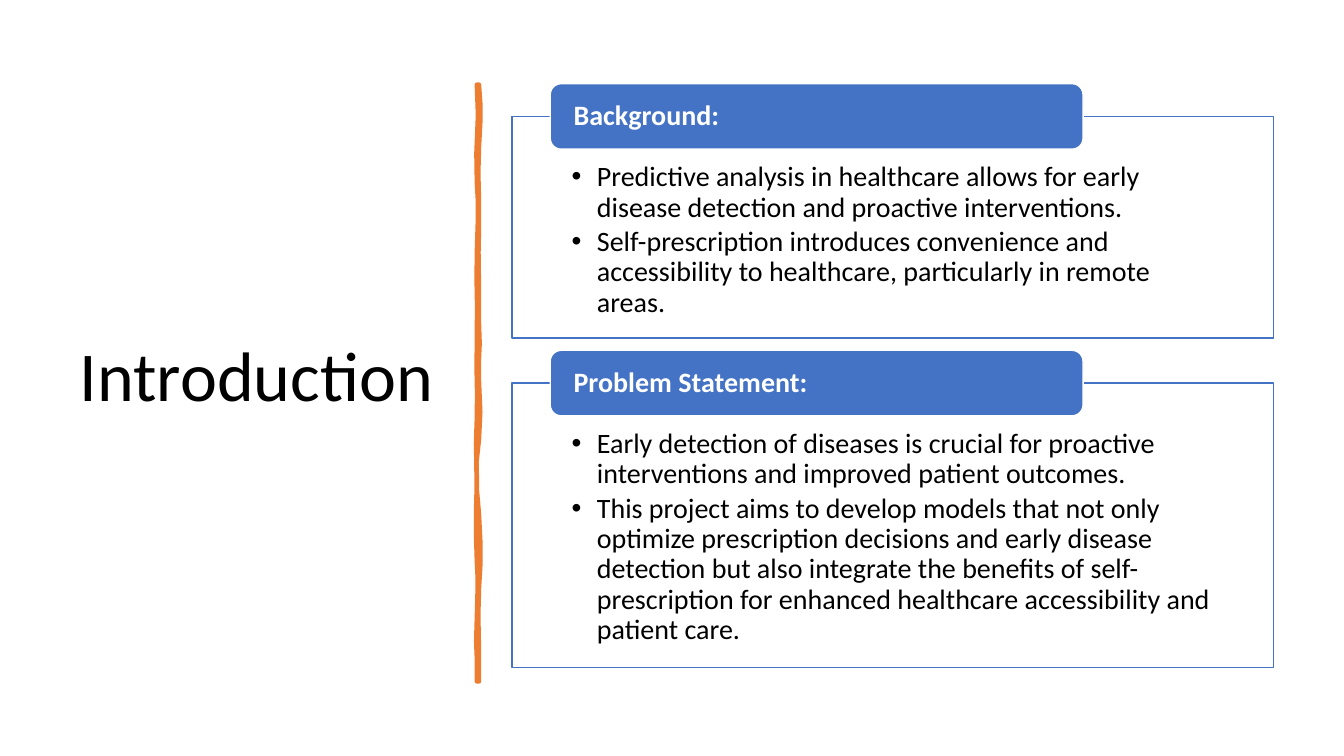
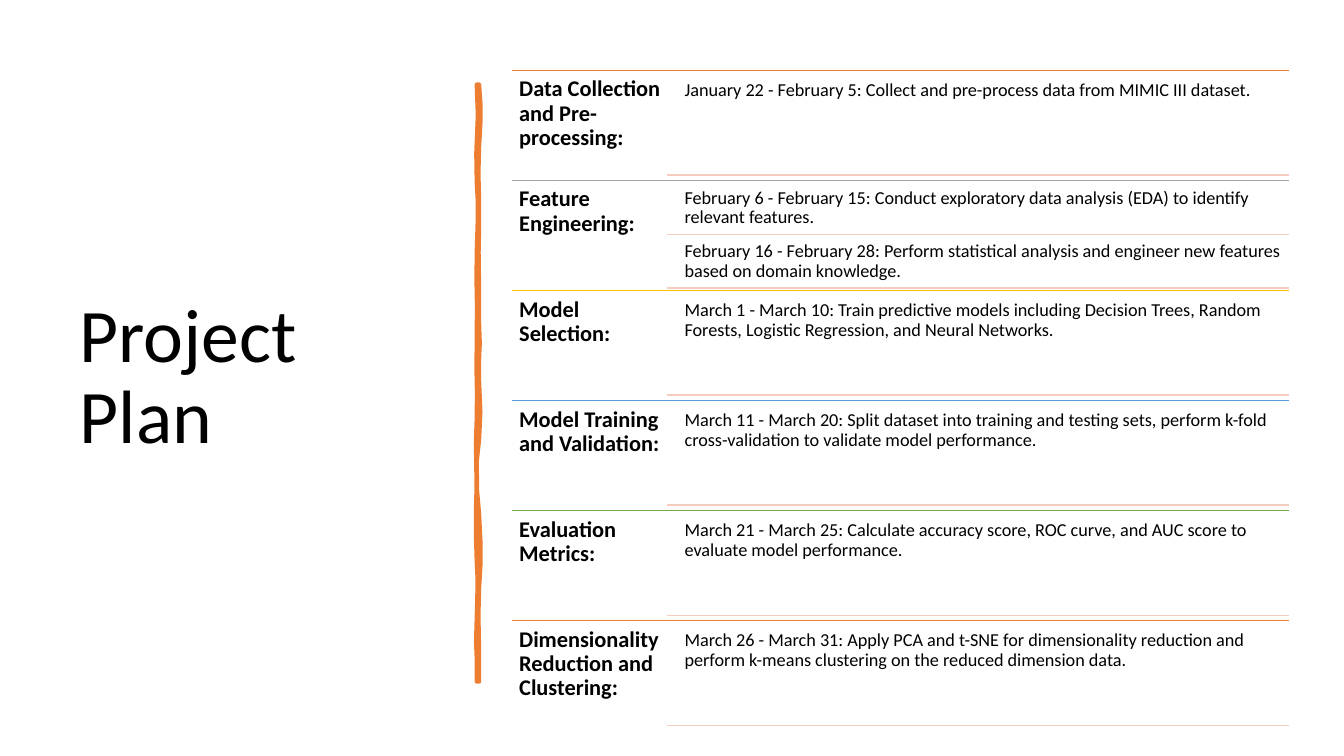
import pptx
import pptx.dml.color
import pptx.enum.shapes
import pptx.enum.text
import pptx.oxml
import pptx.util
from dataclasses import dataclass

Inches, Pt = pptx.util.Inches, pptx.util.Pt
Shape = pptx.enum.shapes.MSO_SHAPE
Anchor = pptx.enum.text.MSO_ANCHOR


@dataclass(frozen=True)
class Theme:
    font: str = "Calibri"
    text: str = "000000"
    paper: str = "FFFFFF"
    blue: str = "4472C4"
    orange: str = "ED7D31"
    pale: str = "F6CCBE"
    row_lines: tuple = ("ED7D31", "A5A5A5", "FFC000", "5B9BD5", "70AD47", "ED7D31")
    body_size: int = 20
    label_size: int = 16
    detail_size: int = 13
    line_spacing: float = 0.9


THEME = Theme()
SLIDE_SIZE = (13.33, 7.5)
TITLE_BOX = (0.69, 0.7, 3.74, 6.11)
CONTENT_LEFT = 5.08

INTRODUCTION = [
    # heading, height of the body, bullets
    ("Background:", 2.2, [
        "Predictive analysis in healthcare allows for early disease detection and proactive interventions.",
        "Self-prescription introduces convenience and accessibility to healthcare, particularly in remote areas.",
    ]),
    ("Problem Statement:", 2.82, [
        "Early detection of diseases is crucial for proactive interventions and improved patient outcomes.",
        "This project aims to develop models that not only optimize prescription decisions and early disease "
        "detection but also integrate the benefits of self-prescription for enhanced healthcare accessibility "
        "and patient care.",
    ]),
]

PLAN = [
    ("Data Collection and Pre-processing:", [
        "January 22 - February 5: Collect and pre-process data from MIMIC III dataset."]),
    ("Feature Engineering:", [
        "February 6 - February 15: Conduct exploratory data analysis (EDA) to identify relevant features.",
        "February 16 - February 28: Perform statistical analysis and engineer new features based on domain "
        "knowledge."]),
    ("Model Selection:", [
        "March 1 - March 10: Train predictive models including Decision Trees, Random Forests, Logistic "
        "Regression, and Neural Networks."]),
    ("Model Training and Validation:", [
        "March 11 - March 20: Split dataset into training and testing sets, perform k-fold cross-validation "
        "to validate model performance."]),
    ("Evaluation Metrics:", [
        "March 21 - March 25: Calculate accuracy score, ROC curve, and AUC score to evaluate model "
        "performance."]),
    ("Dimensionality Reduction and Clustering:", [
        "March 26 - March 31: Apply PCA and t-SNE for dimensionality reduction and perform k-means "
        "clustering on the reduced dimension data."]),
]

# Brush stroke: a start point, then cubic curves (two controls and an end point)
STROKE_START = (4.75, 0.84)
STROKE_CURVES = [
    ((4.77, 1.02), (4.77, 1.19), (4.75, 1.46)),
    ((4.73, 1.73), (4.76, 1.95), (4.75, 2.26)),
    ((4.74, 2.57), (4.75, 2.62), (4.75, 2.94)),
    ((4.74, 3.25), (4.77, 3.42), (4.75, 3.56)),
    ((4.73, 3.7), (4.79, 4.14), (4.75, 4.36)),
    ((4.71, 4.57), (4.72, 4.84), (4.75, 5.1)),
    ((4.77, 5.36), (4.77, 5.64), (4.75, 5.84)),
    ((4.73, 6.03), (4.76, 6.5), (4.75, 6.76)),
    ((4.74, 6.76), (4.73, 6.76), (4.73, 6.76)),
    ((4.74, 6.46), (4.71, 6.44), (4.73, 6.13)),
    ((4.74, 5.83), (4.74, 5.7), (4.73, 5.57)),
    ((4.72, 5.44), (4.72, 4.95), (4.73, 4.77)),
    ((4.73, 4.59), (4.71, 4.45), (4.73, 4.15)),
    ((4.74, 3.86), (4.72, 3.73), (4.73, 3.35)),
    ((4.74, 2.98), (4.72, 2.81), (4.73, 2.5)),
    ((4.74, 2.18), (4.75, 2.0), (4.73, 1.81)),
    ((4.7, 1.63), (4.77, 1.04), (4.73, 0.84)),
]


def rgb(colour):
    return pptx.dml.color.RGBColor.from_string(colour)


def write(shape, paragraphs, size, colour=THEME.text, bold=False, anchor=Anchor.TOP,
          insets=(0.1, 0.05, 0.1, 0.05), bullets=False, space_after=0):
    """Fill a shape with left-aligned paragraphs; insets run left, top, right, bottom."""
    frame = shape.text_frame
    frame.word_wrap = True
    frame.auto_size = pptx.enum.text.MSO_AUTO_SIZE.NONE
    frame.vertical_anchor = anchor
    (frame.margin_left, frame.margin_top,
     frame.margin_right, frame.margin_bottom) = map(Inches, insets)
    for index, text in enumerate(paragraphs):
        para = frame.add_paragraph() if index else frame.paragraphs[0]
        para.alignment = pptx.enum.text.PP_ALIGN.LEFT
        para.line_spacing = THEME.line_spacing
        para.space_after = Pt(space_after)
        span = para.add_run()
        span.text = text
        span.font.name = THEME.font
        span.font.size = Pt(size)
        span.font.bold = bold
        span.font.color.rgb = rgb(colour)
        if bullets:
            add_bullet(para)


def add_bullet(para):
    properties = para._p.get_or_add_pPr()
    properties.set("marL", str(Inches(0.25)))
    properties.set("indent", str(-Inches(0.25)))
    namespace = pptx.oxml.ns.nsdecls("a")
    for tag in ('buFont {} typeface="Arial"', 'buChar {} char="•"'):
        properties.append(pptx.oxml.parse_xml("<a:" + tag.format(namespace) + "/>"))


def paint(shape, fill, line, width):
    shape.shadow.inherit = False
    shape.fill.solid()
    shape.fill.fore_color.rgb = rgb(fill)
    shape.line.color.rgb = rgb(line)
    shape.line.width = Pt(width)


def add_box(page, kind, left, top, width, height, fill, line):
    box = page.shapes.add_shape(kind, *map(Inches, (left, top, width, height)))
    paint(box, fill, line, 1)
    return box


def add_label(page, left, top, width, height, text, **style):
    box = page.shapes.add_textbox(*map(Inches, (left, top, width, height)))
    write(box, [text], **style)


def add_rule(page, left, right, top, colour):
    rule = page.shapes.add_connector(
        pptx.enum.shapes.MSO_CONNECTOR.STRAIGHT, *map(Inches, (left, top, right, top)))
    rule.line.color.rgb = rgb(colour)
    rule.line.width = Pt(1)
    rule._element.spPr.append(
        pptx.oxml.parse_xml("<a:effectLst %s/>" % pptx.oxml.ns.nsdecls("a")))


def curve_points(start, curves, steps=3):
    """Points along a chain of cubic curves, in slide units."""
    points = []
    for first, second, end in curves:
        for step in range(1, steps + 1):
            t = step / steps
            weights = ((1 - t) ** 3, 3 * t * (1 - t) ** 2, 3 * t * t * (1 - t), t ** 3)
            corners = (start, first, second, end)
            points.append(tuple(
                Inches(sum(weight * corner[axis] for weight, corner in zip(weights, corners)))
                for axis in (0, 1)))
        start = end
    return points


def add_page(deck, title, title_size):
    """A page with the shared title at the left and the brush stroke beside it."""
    page = deck.slides.add_slide(deck.slide_layouts[5])
    heading = page.shapes.title
    heading.left, heading.top, heading.width, heading.height = map(Inches, TITLE_BOX)
    write(heading, [title], size=title_size, anchor=Anchor.MIDDLE)
    builder = page.shapes.build_freeform(*map(Inches, STROKE_START))
    builder.add_line_segments(curve_points(STROKE_START, STROKE_CURVES), close=True)
    paint(builder.convert_to_shape(), THEME.orange, THEME.orange, 3.25)
    return page


def add_cards(page, cards):
    width, tag_height, gap = 7.55, 0.65, 0.12
    top = 0.83
    for heading, height, bullets in cards:
        body_top = top + tag_height / 2
        body = add_box(page, Shape.RECTANGLE, CONTENT_LEFT, body_top, width, height,
                       THEME.paper, THEME.blue)
        write(body, bullets, size=THEME.body_size, bullets=True, space_after=3,
              insets=(0.59, 0.46, 0.59, 0.16))
        tag = add_box(page, Shape.ROUNDED_RECTANGLE, CONTENT_LEFT + width * 0.05, top,
                      width * 0.7, tag_height, THEME.blue, THEME.paper)
        write(tag, [heading], size=THEME.body_size, colour=THEME.paper, bold=True,
              anchor=Anchor.MIDDLE, insets=(0.2, 0, 0.2, 0))
        top = body_top + height + gap


def add_schedule(page, rows):
    top, total_height, width = 0.7, 6.55, 7.7
    row_height = total_height / len(rows)
    right = CONTENT_LEFT + width
    label_width = width * 0.2
    detail_left = CONTENT_LEFT + label_width
    text_left = detail_left + 0.12
    for index, ((label, details), colour) in enumerate(zip(rows, THEME.row_lines)):
        row_top = top + index * row_height
        add_rule(page, CONTENT_LEFT, right, row_top, colour)
        add_label(page, CONTENT_LEFT, row_top, label_width, row_height, label,
                  size=THEME.label_size, bold=True, insets=(0.07,) * 4)
        gap = row_height * 0.05 / len(details)
        height = (row_height - gap * (len(details) + 1)) / len(details)
        for position, detail in enumerate(details):
            detail_top = row_top + gap + position * (height + gap)
            add_label(page, text_left, detail_top, right - text_left, height, detail,
                      size=THEME.detail_size, insets=(0.05,) * 4)
            add_rule(page, detail_left, right, detail_top + height, THEME.pale)


def main():
    deck = pptx.Presentation()
    deck.slide_width, deck.slide_height = map(Inches, SLIDE_SIZE)
    add_cards(add_page(deck, "Introduction", 50), INTRODUCTION)
    add_schedule(add_page(deck, "Project Plan", 54), PLAN)
    deck.save("out.pptx")


if __name__ == "__main__":
    main()
